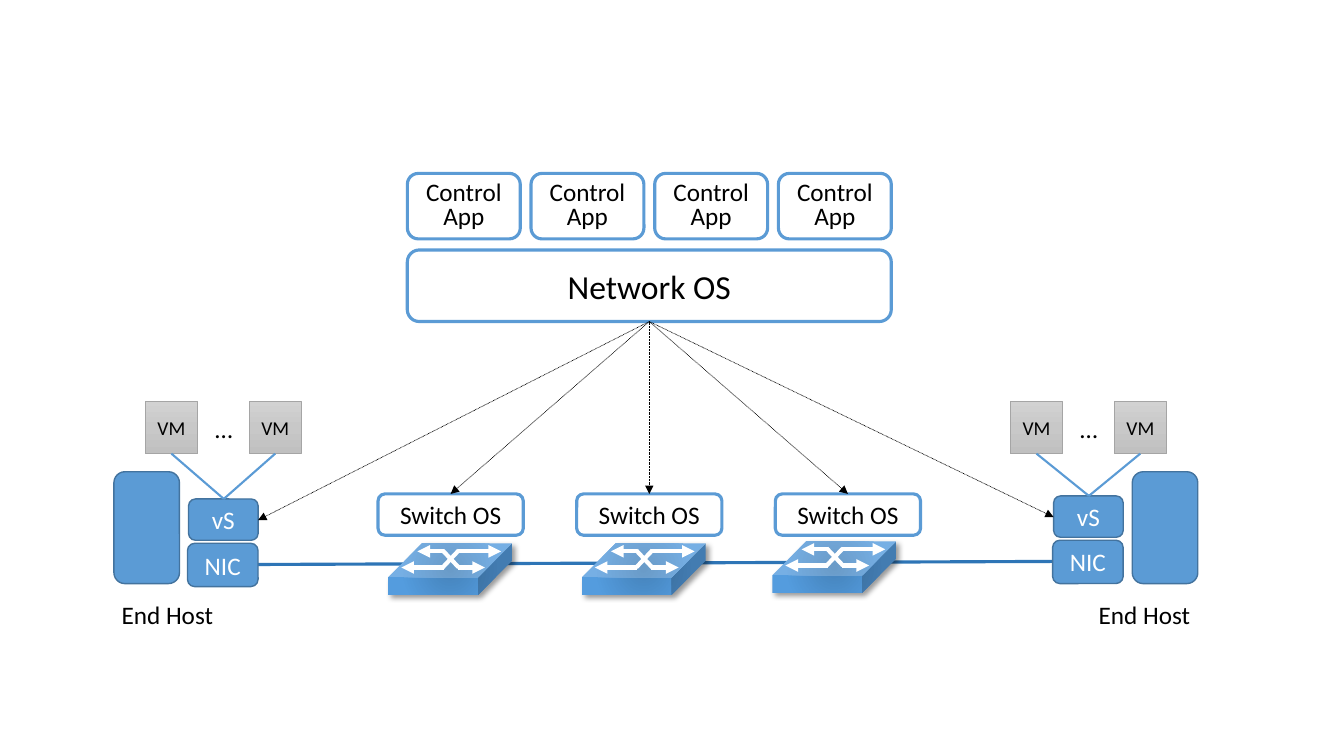
import pptx
import pptx.dml.color
import pptx.enum.dml
import pptx.enum.shapes
import pptx.enum.text
import pptx.oxml
import pptx.oxml.ns
import pptx.util
import lxml.etree

Inches = pptx.util.Inches
SHAPES = pptx.enum.shapes.MSO_SHAPE
BLUE, DARK_BLUE, LINK_BLUE = "5B9BD5", "43739E", "2E75B6"
WHITE, BLACK, GREY = "FFFFFF", "000000", "A5A5A5"
VM_STOPS = [(0, "D2D2D2"), (50, "C8C8C8"), (100, "C0C0C0")]
SWITCH_STOPS = [(0, "305C84"), (0, "4583BB"), (75, "549CDE")]
LINEAR = '<a:lin {} ang="5400000" scaled="0"/>'
CIRCULAR = ('<a:path {} path="circle"><a:fillToRect l="50000" t="50000" '
            'r="50000" b="50000"/></a:path>')


def color(value):
    return pptx.dml.color.RGBColor.from_string(value)


def drawing_xml(template):
    return pptx.oxml.parse_xml(template.format(pptx.oxml.ns.nsdecls("a")))


def write_text(shape, text, size, text_color, spacing=None):
    frame = shape.text_frame
    paragraph = frame.paragraphs[0]
    paragraph.alignment = pptx.enum.text.PP_ALIGN.CENTER
    if spacing:
        paragraph.line_spacing = spacing
    run = paragraph.add_run()
    run.text = text
    run.font.name = "Calibri"
    run.font.size = pptx.util.Pt(size)
    run.font.color.rgb = color(text_color)


def add_box(shapes, kind, box, fill, line, width):
    shape = shapes.add_shape(kind, *[Inches(value) for value in box])
    shape.shadow.inherit = False
    if fill:
        shape.fill.solid()
        shape.fill.fore_color.rgb = color(fill)
    if line:
        shape.line.color.rgb = color(line)
        shape.line.width = pptx.util.Pt(width)
    else:
        shape.line.fill.background()
    shape.text_frame.word_wrap = True
    shape.text_frame.vertical_anchor = pptx.enum.text.MSO_ANCHOR.MIDDLE
    return shape


def add_outlined_box(shapes, box, text, size, spacing=None):
    shape = add_box(shapes, SHAPES.ROUNDED_RECTANGLE, box, WHITE, BLUE, 2.25)
    write_text(shape, text, size, BLACK, spacing)


def add_solid_box(shapes, box, text=None):
    shape = add_box(shapes, SHAPES.ROUNDED_RECTANGLE, box, BLUE, DARK_BLUE, 1)
    if text:
        write_text(shape, text, 18, WHITE)


def set_gradient(shape, stops, shading):
    shape.fill.gradient()
    gradient = shape._element.spPr.find(pptx.oxml.ns.qn("a:gradFill"))
    for child in list(gradient):
        gradient.remove(child)
    stop_list = lxml.etree.SubElement(gradient, pptx.oxml.ns.qn("a:gsLst"))
    for position, value in stops:
        stop = lxml.etree.SubElement(stop_list, pptx.oxml.ns.qn("a:gs"), pos=str(position * 1000))
        lxml.etree.SubElement(stop, pptx.oxml.ns.qn("a:srgbClr"), val=value)
    gradient.append(drawing_xml(shading))


def add_line(shapes, start, end, line, width, arrow=False, dotted=False):
    connector = shapes.add_connector(
        pptx.enum.shapes.MSO_CONNECTOR.STRAIGHT,
        *[Inches(value) for value in (*start, *end)])
    connector.line.color.rgb = color(line)
    connector.line.width = pptx.util.Pt(width)
    if dotted:
        connector.line.dash_style = pptx.enum.dml.MSO_LINE.ROUND_DOT
    if arrow:
        connector.line._get_or_add_ln().append(drawing_xml('<a:tailEnd {} type="triangle"/>'))
    connector._element.spPr.append(drawing_xml("<a:effectLst {}/>"))


def add_label(shapes, box, text):
    label = shapes.add_textbox(*[Inches(value) for value in box])
    label.text_frame.word_wrap = False
    label.text_frame.auto_size = pptx.enum.text.MSO_AUTO_SIZE.SHAPE_TO_FIT_TEXT
    write_text(label, text, 18, BLACK)


def add_controller(shapes, left, top, width):
    app_width = 1.12
    step = (width - app_width) / 3
    for index in range(4):
        add_outlined_box(shapes, (left + index * step, top, app_width, 0.65),
                         "Control App", 18, 0.8)
    add_outlined_box(shapes, (left, top + 0.76, width, 0.71), "Network OS", 24)


def add_end_host(shapes, left, nic_top, body_left, label_left):
    add_solid_box(shapes, (body_left, 4.68, 0.65, 1.11))
    add_label(shapes, (label_left, 5.9, 1.12, 0.4), "End Host")
    add_solid_box(shapes, (left, nic_top, 0.7, 0.43), "NIC")
    switch_top = nic_top - 0.44
    add_solid_box(shapes, (left + 0.01, switch_top, 0.69, 0.41), "vS")
    vm_top, vm_size = 3.98, 0.52
    for vm_left in (left - 0.42, left + 0.61):
        machine = add_box(shapes, SHAPES.RECTANGLE, (vm_left, vm_top, vm_size, vm_size),
                          None, GREY, 0.5)
        set_gradient(machine, VM_STOPS, LINEAR)
        write_text(machine, "VM", 14, BLACK)
        add_line(shapes, (left + 0.36, switch_top),
                 (vm_left + vm_size / 2, vm_top + vm_size), BLUE, 1.5)
    add_label(shapes, (left + 0.17, vm_top + 0.07, 0.38, 0.4), "…")


def add_switch(shapes, left, top):
    group = shapes.add_group_shape().shapes
    cube = add_box(group, SHAPES.CUBE, (left, top, 1.23, 0.51), None, None, 0)
    cube.adjustments[0] = 0.662
    set_gradient(cube, SWITCH_STOPS, CIRCULAR)
    effects = cube._element.spPr.find(pptx.oxml.ns.qn("a:effectLst"))
    effects.append(drawing_xml(
        '<a:outerShdw {} blurRad="50800" dist="38100" dir="2700000">'
        '<a:srgbClr val="000000"><a:alpha val="40000"/></a:srgbClr></a:outerShdw>'))
    upper, lower = top + 0.08, top + 0.24
    for start, end, height in ((0.69, 1.12, upper), (0.69, 0.96, lower),
                               (0.55, 0.29, upper), (0.55, 0.13, lower)):
        add_line(group, (left + start, height), (left + end, height), WHITE, 3, arrow=True)
    for start, end in ((0.54, 0.7), (0.7, 0.54)):
        add_line(group, (left + start, lower), (left + end, top + 0.07), WHITE, 3)


def main():
    presentation = pptx.Presentation()
    presentation.slide_width = Inches(13.33)
    presentation.slide_height = Inches(7.5)
    shapes = presentation.slides.add_slide(presentation.slide_layouts[6]).shapes

    add_line(shapes, (2.56, 5.6), (10.44, 5.57), LINK_BLUE, 2.25)
    add_controller(shapes, 4.04, 1.72, 4.8)
    add_end_host(shapes, 1.86, 5.39, 1.13, 1.1)
    add_end_host(shapes, 10.44, 5.36, 11.23, 10.79)
    targets = [(2.56, 5.16), (10.45, 5.13)]
    for index, (left, top) in enumerate(((3.85, 5.39), (5.77, 5.39), (7.66, 5.37))):
        box_left = 3.75 + index * 1.97
        add_outlined_box(shapes, (box_left, 4.9, 1.44, 0.41), "Switch OS", 18)
        add_switch(shapes, left, top)
        targets.append((box_left + 0.72, 4.9))
    for target in targets:
        add_line(shapes, (6.44, 3.19), target, BLACK, 0.5, arrow=True, dotted=True)
    presentation.save("out.pptx")


if __name__ == "__main__":
    main()
